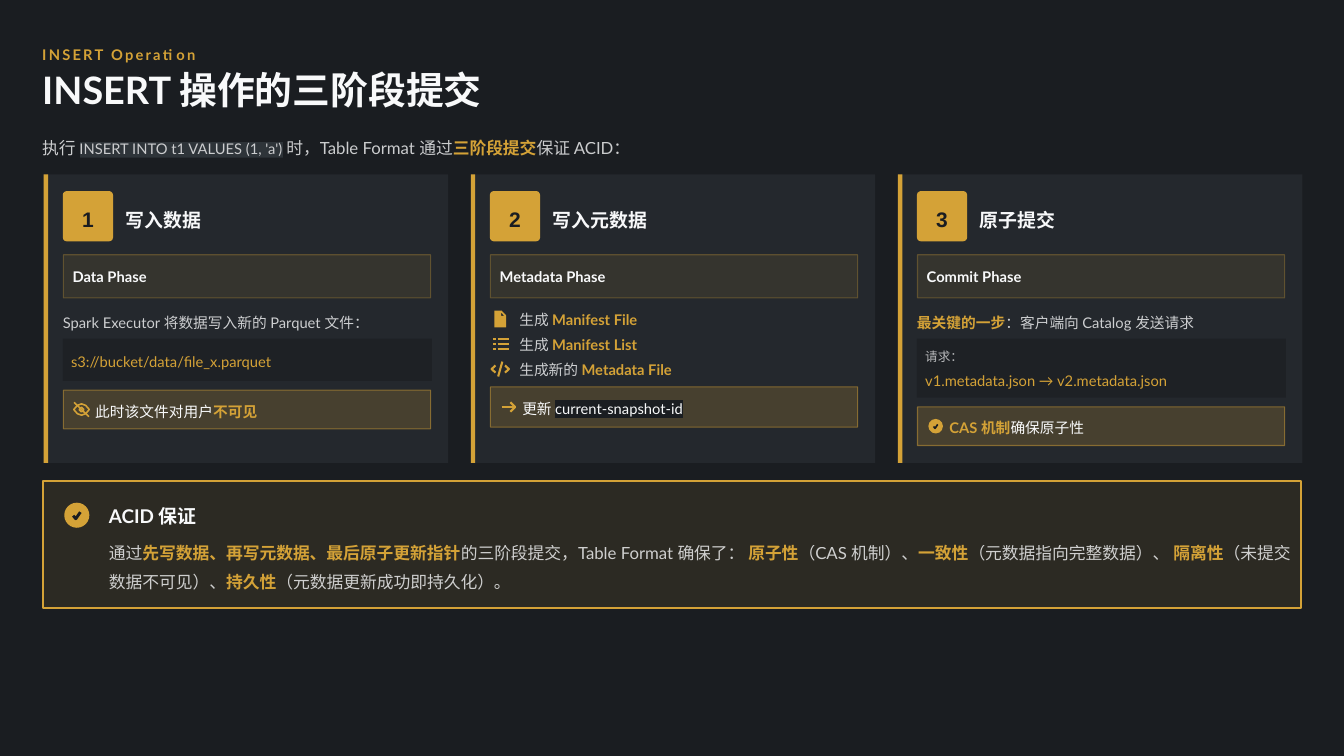
from dataclasses import dataclass

from lxml import etree
from pptx import Presentation
from pptx.dml.color import RGBColor
from pptx.dml.fill import FillFormat
from pptx.enum.shapes import MSO_SHAPE
from pptx.enum.text import MSO_ANCHOR, PP_ALIGN
from pptx.oxml.ns import qn
from pptx.util import Cm, Pt

RECT, ROUND, OVAL = MSO_SHAPE.RECTANGLE, MSO_SHAPE.ROUNDED_RECTANGLE, MSO_SHAPE.OVAL
MIDDLE = MSO_ANCHOR.MIDDLE
LEFT, CENTER = PP_ALIGN.LEFT, PP_ALIGN.CENTER

# Colours; two further digits give the opacity
DARK, GOLD, WHITE = "1A1D21", "D4A237", "F8F9FA"
SOFT, FAINT, GREY = "F8F9FACC", "F8F9FAB3", "343A40"
PANEL, WELL = "343A4066", "1A1D2199"
GOLD_10, GOLD_20, GOLD_30, GOLD_50 = "D4A2371A", "D4A23733", "D4A2374D", "D4A23780"


@dataclass
class Run:
    text: str
    color: str = ""
    bold: bool = False
    size: float = 0
    highlight: str = ""
    spacing: int = 0


@dataclass
class Line:
    runs: list[Run]
    size: float = 14
    color: str = SOFT
    bold: bool = False
    spacing: float = 1.2
    before: float = 0
    font: str = "Lato"
    align: PP_ALIGN = LEFT


@dataclass
class Icon:
    """Strokes in hundredths of a centimetre around the centre."""
    strokes: list[list[tuple[int, int]]]
    weight: float = 1.5
    solid: bool = False
    disc: float = 0


@dataclass
class Card:
    title: str
    phase: str
    note_icon: Icon
    note: list[Run]
    note_top: float
    note_height: float
    lead: list[Run]
    well: list[Line]
    well_height: float
    items: list[tuple[Icon, list[Run]]]


def paint(fill: FillFormat, color: str) -> None:
    fill.solid()
    fill.fore_color.rgb = RGBColor.from_string(color[:6])
    if color[6:]:
        opacity = round(int(color[6:], 16) / 2.55) * 1000
        srgb = fill._xPr.find(qn("a:solidFill"))[0]
        etree.SubElement(srgb, qn("a:alpha"), val=str(opacity))


def write(shape, lines: list[Line], margins=(0, 0, 0, 0)) -> None:
    frame = shape.text_frame
    frame.word_wrap = True
    frame.vertical_anchor = MIDDLE
    (frame.margin_left, frame.margin_top,
     frame.margin_right, frame.margin_bottom) = map(Cm, margins)
    for i, line in enumerate(lines):
        paragraph = frame.add_paragraph() if i else frame.paragraphs[0]
        paragraph.alignment, paragraph.line_spacing = line.align, line.spacing
        if line.before:
            paragraph.space_before = Pt(line.before)
        font = paragraph.font
        font.name, font.size, font.bold = line.font, Pt(line.size), line.bold
        paint(font.fill, line.color)
        for part in line.runs:
            run = paragraph.add_run()
            run.text = part.text
            if part.bold:
                run.font.bold = True
            if part.size:
                run.font.size = Pt(part.size)
            if part.color:
                paint(run.font.fill, part.color)
            properties = run._r.get_or_add_rPr()
            if part.spacing:
                properties.set("spc", str(part.spacing))
            if part.highlight:
                mark = etree.SubElement(properties, qn("a:highlight"))
                etree.SubElement(mark, qn("a:srgbClr"), val=part.highlight)


def add_text(shapes, x: float, y: float, w: float, h: float, *lines: Line) -> None:
    write(shapes.add_textbox(Cm(x), Cm(y), Cm(w), Cm(h)), list(lines))


def add_box(shapes, x: float, y: float, w: float, h: float, fill: str,
            line: str = "", weight: float = 1, kind=RECT):
    box = shapes.add_shape(kind, Cm(x), Cm(y), Cm(w), Cm(h))
    box.shadow.inherit = False
    paint(box.fill, fill)
    if line:
        paint(box.line.fill, line)
        box.line.width = Pt(weight)
    else:
        box.line.fill.background()
    return box


def add_icon(shapes, icon: Icon, x: float, y: float, zoom: float = 1) -> None:
    """Draw an icon centred on x, y."""
    if icon.disc:
        size = icon.disc * zoom
        add_box(shapes, x - size / 2, y - size / 2, size, size, GOLD, kind=OVAL)
    first, *others = icon.strokes
    builder = shapes.build_freeform(*first[0], scale=Cm(0.01) * zoom)
    builder.add_line_segments(first[1:], close=icon.solid)
    for stroke in others:
        builder.move_to(*stroke[0])
        builder.add_line_segments(stroke[1:], close=icon.solid)
    drawing = builder.convert_to_shape(Cm(x), Cm(y))
    drawing.shadow.inherit = False
    if icon.solid:
        paint(drawing.fill, GOLD)
        drawing.line.fill.background()
    else:
        drawing.fill.background()
        paint(drawing.line.fill, DARK if icon.disc else GOLD)
        drawing.line.width = Pt(icon.weight * zoom)


def add_card(shapes, x: float, number: int, card: Card) -> None:
    add_box(shapes, x, 5.86, 13.59, 9.69, PANEL)
    add_box(shapes, x, 5.86, 0.15, 9.69, GOLD)
    # Number, title and phase
    badge = add_box(shapes, x + 0.64, 6.42, 1.69, 1.69, GOLD, kind=ROUND)
    badge.adjustments[0] = 0.08
    write(badge, [Line([Run(str(number))], 20, DARK, True, font="Arial", align=CENTER)])
    add_text(shapes, x + 2.76, 6.78, 3.5, 0.99,
             Line([Run(card.title)], 18, WHITE, True, 1.3))
    phase = add_box(shapes, x + 0.66, 8.56, 12.34, 1.45, GOLD_10, GOLD_30)
    write(phase, [Line([Run(card.phase)], color=WHITE, bold=True)], (0.31, 0, 0, 0.13))
    # Explanation
    if card.lead:
        add_text(shapes, x + 0.64, 10.31, 12.62, 0.81, Line(card.lead, spacing=1.4))
    if card.well:
        well = add_box(shapes, x + 0.64, 11.38, 12.4, card.well_height, WELL)
        write(well, card.well, (0.28, 0, 0, 0))
    for row, (icon, runs) in enumerate(card.items):
        y = 10.31 + 0.84 * row
        add_icon(shapes, icon, x + 0.99, y + 0.41)
        add_text(shapes, x + 1.63, y, 5.44, 0.71, Line(runs))
    # Note
    note = add_box(shapes, x + 0.66, card.note_top, 12.34, card.note_height,
                   GOLD_20, GOLD_50)
    write(note, [Line(card.note, color=WHITE)], (1.07, 0, 0, 0))
    add_icon(shapes, card.note_icon, x + 1.27, card.note_top + card.note_height / 2)


def gold(text: str) -> Run:
    return Run(text, GOLD, True)


HIDDEN = Icon([[(-25, -24), (25, 24)],
               [(-26, 0), (-14, -14), (0, -19), (14, -14), (26, 0),
                (14, 14), (0, 19), (-14, 14), (-26, 0)],
               [(0, -8), (8, 0), (0, 8), (-8, 0), (0, -8)]])
FILE = Icon([[(-20, -28), (5, -28), (20, -12), (20, 28), (-20, 28)],
             [(3, -22), (13, -11), (3, -11)]], solid=True)
BULLETS = Icon([stroke for y in (-17, 0, 17)
                for stroke in ([(-25, y), (-15, y)], [(-9, y), (28, y)])], 2.2)
CODE = Icon([[(7, -25), (-7, 25)], [(16, -12), (29, 0), (16, 12)],
             [(-16, -12), (-29, 0), (-16, 12)]], 2)
ARROW = Icon([[(-23, 0), (22, 0)], [(6, -16), (22, 0), (6, 16)]], 2)
CHECK = Icon([[(-7, 1), (-2, 7), (7, -6)]], 1.6, disc=0.49)

CARDS = [
    Card("写入数据", "Data Phase", HIDDEN,
         [Run("此时该文件对用户"), gold("不可见")], 13.11, 1.3,
         [Run("Spark Executor 将数据写入新的 Parquet 文件：")],
         [Line([Run("s3://bucket/data/file_x.parquet")], color=GOLD)], 1.42, []),
    Card("写入元数据", "Metadata Phase", ARROW,
         [Run("更新 "), Run("current-snapshot-id", highlight=DARK)], 13, 1.35,
         [], [], 0,
         [(FILE, [Run("生成 "), gold("Manifest File")]),
          (BULLETS, [Run("生成 "), gold("Manifest List")]),
          (CODE, [Run("生成新的 "), gold("Metadata File")])]),
    Card("原子提交", "Commit Phase", CHECK,
         [gold("CAS 机制"), Run("确保原子性")], 13.67, 1.3,
         [gold("最关键的一步"), Run("：客户端向 Catalog 发送请求")],
         [Line([Run("请求：")], 12, FAINT, spacing=1.1),
          Line([Run("v1.metadata.json → v2.metadata.json")], color=GOLD, before=4)],
         1.98, []),
]


def main() -> None:
    deck = Presentation()
    deck.slide_width, deck.slide_height = Cm(45.16), Cm(25.4)
    slide = deck.slides.add_slide(deck.slide_layouts[6])
    paint(slide.background.fill, DARK)
    shapes = slide.shapes

    # Heading
    add_text(shapes, 1.42, 1.42, 42.57, 0.71,
             Line([Run("INSERT Operation", spacing=210)], color=GOLD, bold=True))
    add_text(shapes, 1.42, 2.39, 42.98, 1.42,
             Line([Run("INSERT 操作的三阶段提交")], 36, WHITE, True, 0.9))
    add_text(shapes, 1.42, 4.37, 42.62, 0.91, Line([
        Run("执行 "), Run("INSERT INTO t1 VALUES (1, 'a') ", size=14, highlight=GREY),
        Run("时，Table Format 通过"), gold("三阶段提交"), Run("保证 ACID：")],
        16, spacing=1.4))

    # Three phases
    for index, card in enumerate(CARDS):
        add_card(shapes, 1.47 + 14.35 * index, index + 1, card)

    # ACID guarantee
    add_box(shapes, 1.45, 16.15, 42.27, 4.29, GOLD_10, GOLD, 2)
    add_icon(shapes, CHECK, 2.58, 17.31, 1.72)
    add_text(shapes, 3.66, 16.74, 39.75, 0.99,
             Line([Run("ACID 保证")], 18, WHITE, True, 1.3))
    add_text(shapes, 3.66, 18.01, 39.73, 1.83, Line([
        Run("通过"), gold("先写数据、再写元数据、最后原子更新指针"),
        Run("的三阶段提交，Table Format 确保了： "), gold("原子性"),
        Run("（CAS 机制）、"), gold("一致性"), Run("（元数据指向完整数据）、 "),
        gold("隔离性"), Run("（未提交数据不可见）、"), gold("持久性"),
        Run("（元数据更新成功即持久化）。")], 16, spacing=1.4))

    deck.save("out.pptx")


if __name__ == "__main__":
    main()
